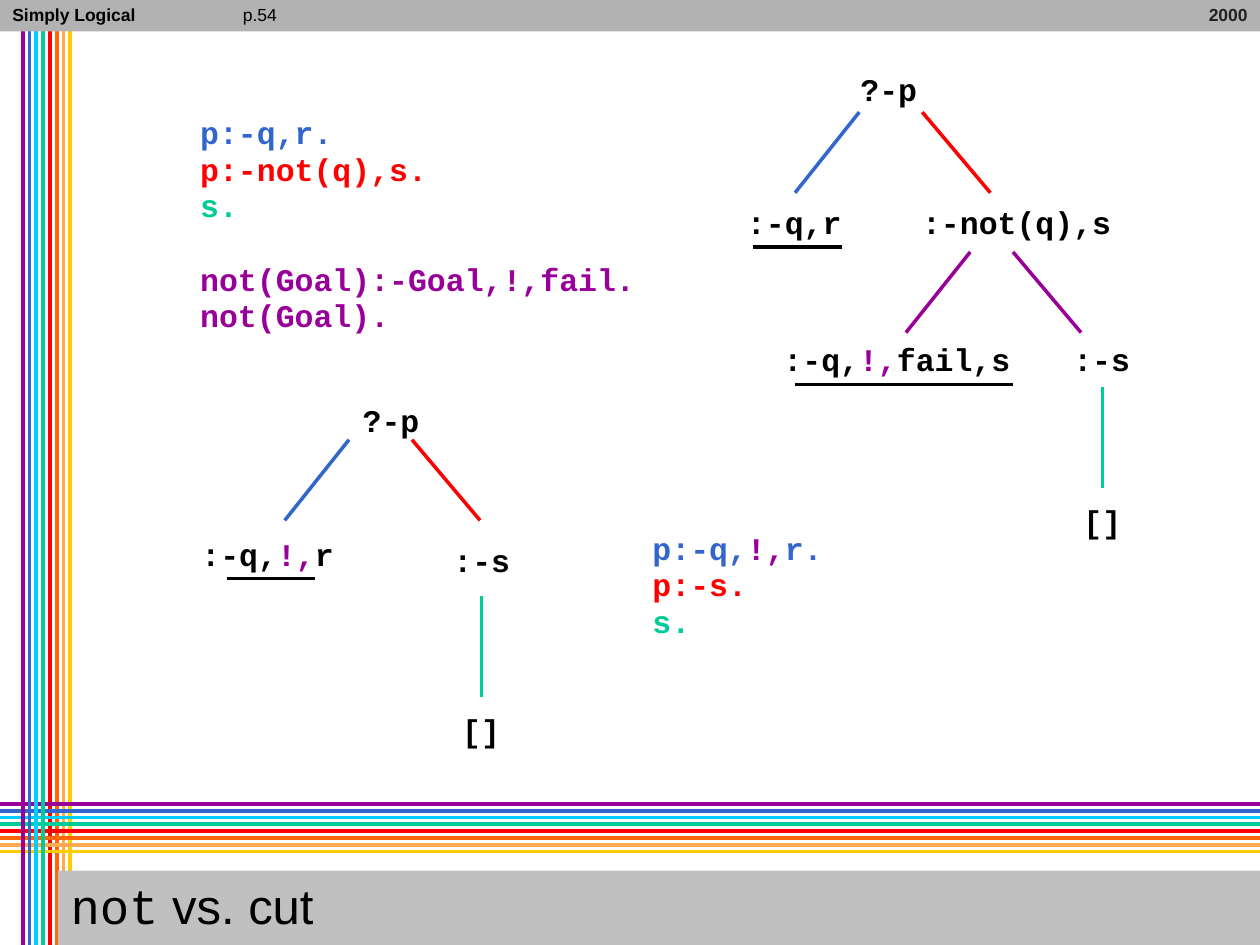
from pptx import Presentation
from pptx.dml.color import RGBColor as Rgb
from pptx.enum.shapes import MSO_CONNECTOR as Conn, MSO_SHAPE as Kind
from pptx.enum.text import MSO_ANCHOR as Anchor, MSO_AUTO_SIZE as Fit, PP_ALIGN as Align
from pptx.oxml.ns import qn
from pptx.util import Inches, Pt
from lxml.etree import SubElement as Sub

BLACK, RED, BLUE = "000000", "FF0000", "3366CC"
GREEN, PURPLE = "00CC99", "990099"
BANDS = [PURPLE, BLUE, "00CCFF", GREEN, RED, "FF6600", "FFA953", "FFCC00"]
STEP = 0.054
MONO, SANS = "Courier New", "Arial"


def hue(code):
    return Rgb.from_string(code)


def write(frame, paras, size=18, font=MONO, bold=True, wrap=False,
          align=Align.LEFT, lead=0.9, gap=0, fit=Fit.NONE, anchor=Anchor.TOP):
    """Each paragraph is a list of (text, colour[, font]) runs; \\n breaks a line."""
    frame.word_wrap = wrap
    frame.auto_size = fit
    frame.vertical_anchor = anchor
    for i, runs in enumerate(paras):
        para = frame.add_paragraph() if i else frame.paragraphs[0]
        para.alignment, para.line_spacing = align, lead
        para.space_before = para.space_after = Pt(gap)
        for text, code, *face in runs:
            for j, part in enumerate(text.split("\n")):
                if j:
                    para.add_line_break()
                if part:
                    run = para.add_run()
                    run.text = part
                    run.font.size, run.font.bold = Pt(size), bold
                    run.font.name = face[0] if face else font
                    run.font.color.rgb = hue(code)


def label(slide, x, y, w, h, paras, **style):
    box = slide.shapes.add_textbox(Inches(x), Inches(y), Inches(w), Inches(h))
    write(box.text_frame, paras, **style)
    return box


def code(slide, x, y, *paras, **style):
    """Monospaced text in a box sized from its longest line."""
    lines = "\n".join("".join(run[0] for run in runs) for runs in paras).split("\n")
    wide = 0.15 * max(map(len, lines)) + 0.2
    high = 0.27 * len(lines) + 0.1
    return label(slide, x, y, wide, high, paras, fit=Fit.SHAPE_TO_FIT_TEXT, **style)


def line(slide, x1, y1, x2, y2, tint=BLACK, width=2):
    edge = slide.shapes.add_connector(
        Conn.STRAIGHT, Inches(x1), Inches(y1), Inches(x2), Inches(y2))
    edge.line.color.rgb, edge.line.width = hue(tint), Pt(width)
    Sub(edge._element.spPr, qn("a:effectLst"))


def fork(slide, left, right, y, tint1, tint2):
    line(slide, left - 0.51, y + 0.64, left, y, tint1)
    line(slide, right + 0.54, y + 0.64, right, y, tint2)


def stem(slide, x, y):
    """Green edge down to the empty clause."""
    line(slide, x, y, x, y + 0.8, GREEN)
    code(slide, x - 0.25, y + 0.9, [("[]", BLACK)])


def frame(slide):
    # Crossing bands: the first four columns lie over the rows
    def column(i):
        x = 0.18 + i * STEP
        line(slide, x, 0, x, 7.5, BANDS[i], 2.25)

    for i in range(4, 8):
        column(i)
    for i, tint in enumerate(BANDS):
        y = 6.38 + i * STEP
        line(slide, 10, y, 0, y, tint, 2.25)
    for i in range(4):
        column(i)

    # Header bar
    bar = slide.shapes.add_shape(Kind.RECTANGLE, 0, 0, Inches(10), Inches(0.25))
    bar.shadow.inherit = False
    bar.fill.solid()
    bar.fill.fore_color.rgb = hue("B2B2B2")
    bar.line.fill.background()
    head = dict(size=10, font=SANS)
    label(slide, 1.83, 0, 0.76, 0.25, [[("p.54", BLACK)]], bold=False, **head)
    label(slide, 0, 0, 2, 0.25, [[("Simply Logical", BLACK)]], wrap=True, **head)
    label(slide, 7.3, 0, 2.7, 0.25, [[("2000", "202020")]], wrap=True,
          align=Align.RIGHT, **head)

    # Title, raised above the bands
    title = slide.shapes.title
    title.left, title.top = Inches(0.46), Inches(6.91)
    title.width, title.height = Inches(9.54), Inches(0.6)
    title.fill.solid()
    title.fill.fore_color.rgb = hue("C0C0C0")
    write(title.text_frame, [[("not", BLACK), (" vs. cut", BLACK, SANS)]],
          size=28, bold=False, wrap=True, anchor=Anchor.MIDDLE)
    slide.shapes._spTree.append(title._element)


def not_tree(slide):
    code(slide, 6.73, 0.54, [("?-p", BLACK)])
    fork(slide, 6.82, 7.32, 0.89, BLUE, RED)
    code(slide, 5.83, 1.6, [(":-q,r", BLACK)])
    line(slide, 5.98, 1.96, 6.68, 1.96)
    code(slide, 7.22, 1.6, [(":-not(q),s", BLACK)])
    fork(slide, 7.7, 8.04, 2, PURPLE, PURPLE)
    goal = code(slide, 6.12, 2.68, [(":-q,", BLACK), ("!,", PURPLE), ("fail,s", BLACK)])
    goal.line.color.rgb, goal.line.width = hue("FFFFFF"), Pt(2)
    line(slide, 6.31, 3.05, 8.04, 3.05)
    code(slide, 8.42, 2.68, [(":-s", BLACK)])
    stem(slide, 8.75, 3.07)


def cut_tree(slide):
    code(slide, 2.78, 3.17, [("?-p", BLACK)])
    fork(slide, 2.77, 3.27, 3.49, BLUE, RED)
    code(slide, 1.5, 4.23, [(":-q,", BLACK), ("!,", PURPLE), ("r", BLACK)])
    line(slide, 1.8, 4.59, 2.5, 4.59)
    code(slide, 3.5, 4.28, [(":-s", BLACK)])
    stem(slide, 3.82, 4.73)


def rules(slide):
    style = dict(lead=0.96, gap=10.7)
    code(slide, 1.49, 0.87,
         [("p:-q,r.\n", BLUE), ("p:-not(q),s.\n", RED), ("s.", GREEN)],
         [("not(Goal):-Goal,!,fail.\nnot(Goal).", PURPLE)], **style)
    code(slide, 5.08, 4.17,
         [("p:-q,", BLUE), ("!,", PURPLE), ("r.\n", BLUE),
          ("p:-s.\n", RED), ("s.", GREEN)], **style)


def main():
    deck = Presentation()
    deck.slide_width, deck.slide_height = Inches(10), Inches(7.5)
    slide = deck.slides.add_slide(deck.slide_layouts[5])
    frame(slide)
    not_tree(slide)
    cut_tree(slide)
    rules(slide)
    deck.save("out.pptx")


if __name__ == "__main__":
    main()
